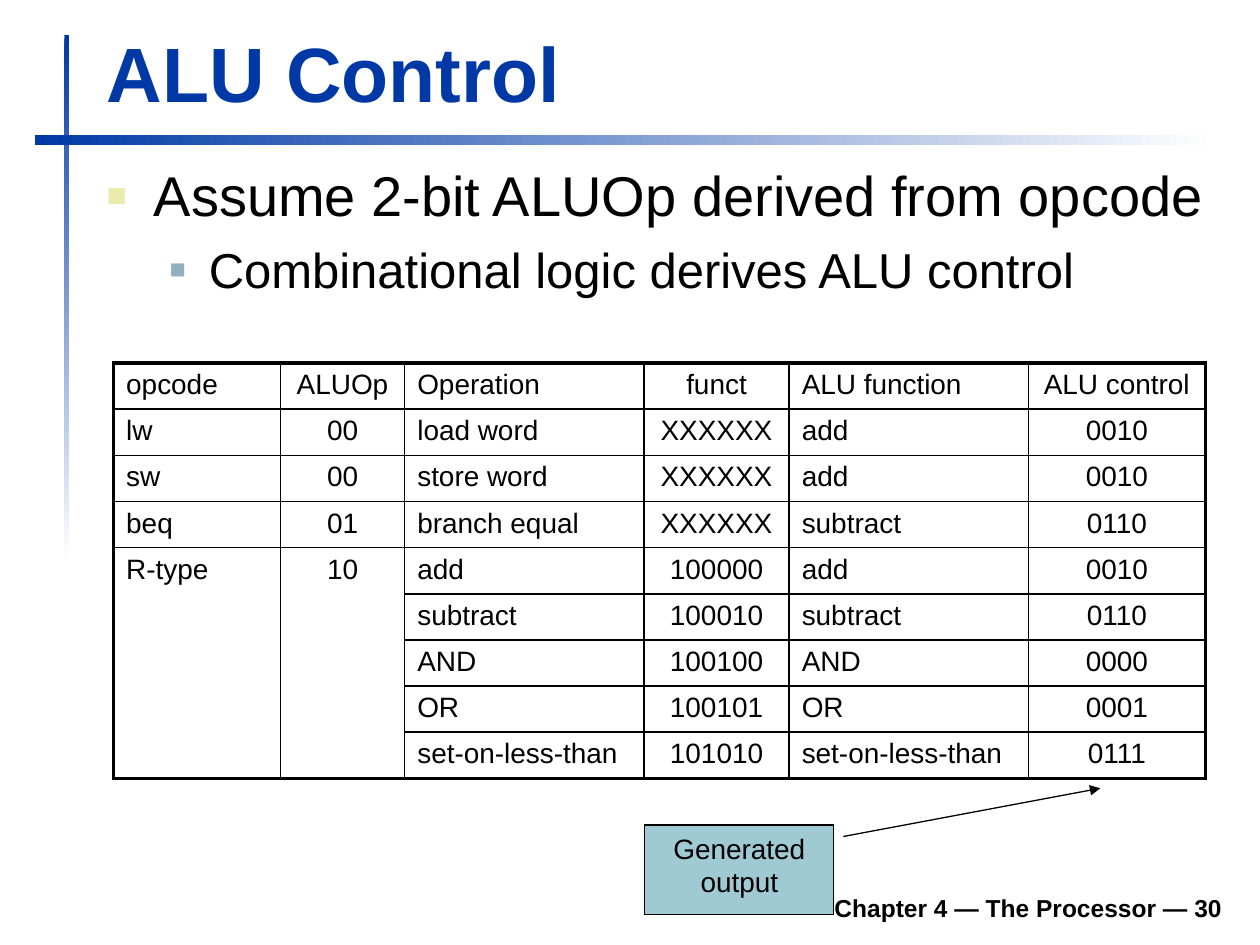
from dataclasses import dataclass

from lxml import etree
from pptx import Presentation
from pptx.dml.color import RGBColor
from pptx.enum.shapes import MSO_SHAPE
from pptx.enum.text import MSO_ANCHOR, MSO_AUTO_SIZE, PP_ALIGN
from pptx.oxml.ns import qn
from pptx.util import Cm, Pt

LEFT, CENTER, RIGHT = PP_ALIGN.LEFT, PP_ALIGN.CENTER, PP_ALIGN.RIGHT
TOP, BOTTOM = MSO_ANCHOR.TOP, MSO_ANCHOR.BOTTOM
RECTANGLE, CALLOUT = MSO_SHAPE.RECTANGLE, MSO_SHAPE.LINE_CALLOUT_1
NO_AUTOFIT = MSO_AUTO_SIZE.NONE


@dataclass(frozen=True)
class Theme:
    """Colours, font and type sizes of the slide."""
    font: str = "Arial"
    blue: str = "0039A6"
    white: str = "FFFFFF"
    black: str = "000000"
    teal: str = "9FCAD3"
    bullets: tuple = (("ECEAAC", 60, 0.95, 0.95), ("91AFBF", 55, 2.06, 0.79))
    title: int = 44
    body: tuple = (32, 28)
    label: int = 16
    footer: int = 14
    outer: float = 2.25
    header: float = 1.5
    inner: float = 1


THEME = Theme()
COLUMNS = (
    (3.36, LEFT), (2.51, CENTER), (4.82, LEFT),
    (2.93, CENTER), (4.82, LEFT), (3.57, CENTER),
)
ROW_HEIGHT = 0.93
ROWS = (
    ("opcode", "ALUOp", "Operation", "funct", "ALU function", "ALU control"),
    ("lw", "00", "load word", "XXXXXX", "add", "0010"),
    ("sw", "00", "store word", "XXXXXX", "add", "0010"),
    ("beq", "01", "branch equal", "XXXXXX", "subtract", "0110"),
    ("R-type", "10", "add", "100000", "add", "0010"),
    ("", "", "subtract", "100010", "subtract", "0110"),
    ("", "", "AND", "100100", "AND", "0000"),
    ("", "", "OR", "100101", "OR", "0001"),
    ("", "", "set-on-less-than", "101010", "set-on-less-than", "0111"),
)
R_TYPE_ROW = 4


def rgb(value):
    """Return the colour for a hex string."""
    return RGBColor.from_string(value)


def add_xml(parent, tag, **attributes):
    """Append a drawing element with the given attributes."""
    return etree.SubElement(parent, qn(tag), attributes)


def set_text(p, text, size, color=THEME.black, bold=False, align=LEFT):
    """Write one formatted run into a paragraph."""
    p.alignment = align
    r = p.add_run()
    r.text = text
    r.font.name, r.font.size, r.font.bold = THEME.font, Pt(size), bold
    r.font.color.rgb = rgb(color)


def set_frame(shape, anchor):
    """Wrap the text of a shape, fix its size and return its frame."""
    tf = shape.text_frame
    tf.word_wrap, tf.auto_size, tf.vertical_anchor = True, NO_AUTOFIT, anchor
    return tf


def add_textbox(s, box, anchor=TOP):
    """Add a wrapping text box and return its frame."""
    return set_frame(s.shapes.add_textbox(*map(Cm, box)), anchor)


def add_gradient_bar(s, box, angle):
    """Add a borderless bar that fades from blue to white."""
    sp = s.shapes.add_shape(RECTANGLE, *map(Cm, box))
    sp.shadow.inherit = False
    sp.line.fill.background()
    sp.fill.gradient()
    sp.fill.gradient_angle = angle
    for stop, color in zip(sp.fill.gradient_stops, (THEME.blue, THEME.white)):
        stop.color.rgb = rgb(color)


def set_title(s, text, box):
    """Place and format the title placeholder."""
    sp = s.shapes.title
    sp.left, sp.top, sp.width, sp.height = map(Cm, box)
    tf = set_frame(sp, BOTTOM)
    set_text(tf.paragraphs[0], text, THEME.title, THEME.blue, bold=True)


def add_bullet(p, text, level):
    """Write a paragraph with the square bullet of its level."""
    color, percent, margin, hanging = THEME.bullets[level]
    p.level = level
    pPr = p._p.get_or_add_pPr()
    pPr.set("marL", str(Cm(margin)))
    pPr.set("indent", str(-Cm(hanging)))
    add_xml(add_xml(pPr, "a:buClr"), "a:srgbClr", val=color)
    add_xml(pPr, "a:buSzPct", val=str(percent * 1000))
    add_xml(pPr, "a:buFont", typeface=THEME.font)
    add_xml(pPr, "a:buChar", char="■")
    set_text(p, text, THEME.body[level])


def set_borders(cell, widths):
    """Draw the given borders, in points by side, and clear the fill."""
    tcPr = cell._tc.get_or_add_tcPr()
    for side, width in widths.items():
        ln = add_xml(tcPr, f"a:ln{side}", w=str(Pt(width)))
        add_xml(add_xml(ln, "a:solidFill"), "a:srgbClr", val=THEME.black)
    cell.fill.background()


def border_widths(cell, row, col):
    """Return the border widths that fit a cell's place in the table."""
    edges = {0: THEME.outer, 1: THEME.header, len(ROWS): THEME.outer}
    bottom = row + cell.span_height
    widths = {
        "L": THEME.inner if col else THEME.outer,
        "R": THEME.outer if col == len(COLUMNS) - 1 else THEME.inner,
    }
    if not cell.is_spanned:
        widths["T"] = edges.get(row, THEME.inner)
    if not cell.is_spanned or bottom == len(ROWS):
        widths["B"] = edges.get(bottom, THEME.inner)
    return widths


def add_control_table(s, left, top):
    """Add the table of opcodes and ALU control values."""
    width = sum(w for w, _ in COLUMNS)
    frame = s.shapes.add_table(len(ROWS), len(COLUMNS), Cm(left), Cm(top),
                               Cm(width), Cm(ROW_HEIGHT * len(ROWS)))
    table = frame.table
    table.first_row = table.horz_banding = False
    for row in table.rows:
        row.height = Cm(ROW_HEIGHT)
    for col in range(2):
        table.cell(R_TYPE_ROW, col).merge(table.cell(len(ROWS) - 1, col))
    for c, (width, align) in enumerate(COLUMNS):
        table.columns[c].width = Cm(width)
        for r, values in enumerate(ROWS):
            cell = table.cell(r, c)
            set_borders(cell, border_widths(cell, r, c))
            if values[c]:
                p = cell.text_frame.paragraphs[0]
                set_text(p, values[c], THEME.label, align=align)


def add_callout(s, text, box, adjustments):
    """Add a filled callout whose leader ends in an arrowhead."""
    sp = s.shapes.add_shape(CALLOUT, *map(Cm, box))
    sp.shadow.inherit = False
    for i, value in enumerate(adjustments):
        sp.adjustments[i] = value
    sp.fill.solid()
    sp.fill.fore_color.rgb = rgb(THEME.teal)
    sp.line.color.rgb = rgb(THEME.black)
    sp.line.width = Pt(0.75)
    add_xml(sp.line._get_or_add_ln(), "a:tailEnd", type="triangle")
    tf = set_frame(sp, TOP)
    set_text(tf.paragraphs[0], text, THEME.label, align=CENTER)


def main():
    """Build the slide and save it."""
    prs = Presentation()
    prs.slide_width, prs.slide_height = Cm(25.4), Cm(19.05)
    s = prs.slides.add_slide(prs.slide_layouts[5])
    add_gradient_bar(s, (1.3, 0.71, 0.1, 10.59), 270)
    add_gradient_bar(s, (0.7, 2.72, 23.8, 0.2), 0)
    set_title(s, "ALU Control", (1.9, 0.41, 22.94, 2.1))

    tf = add_textbox(s, (1.9, 3.12, 22.99, 14.2))
    add_bullet(tf.paragraphs[0], "Assume 2-bit ALUOp derived from opcode", 0)
    p = tf.add_paragraph()
    add_bullet(p, "Combinational logic derives ALU control", 1)
    p.space_before = Pt(6.4)

    tf = add_textbox(s, (4.7, 17.73, 20.19, 0.99), BOTTOM)
    set_text(tf.paragraphs[0], "Chapter 4 — The Processor — 30",
             THEME.footer, bold=True, align=RIGHT)

    add_control_table(s, 2.29, 7.32)
    add_callout(s, "Generated output", (13, 16.63, 3.81, 1.8),
                (0.13, 1.05, -0.41, 2.41))
    prs.save("out.pptx")


if __name__ == "__main__":
    main()
